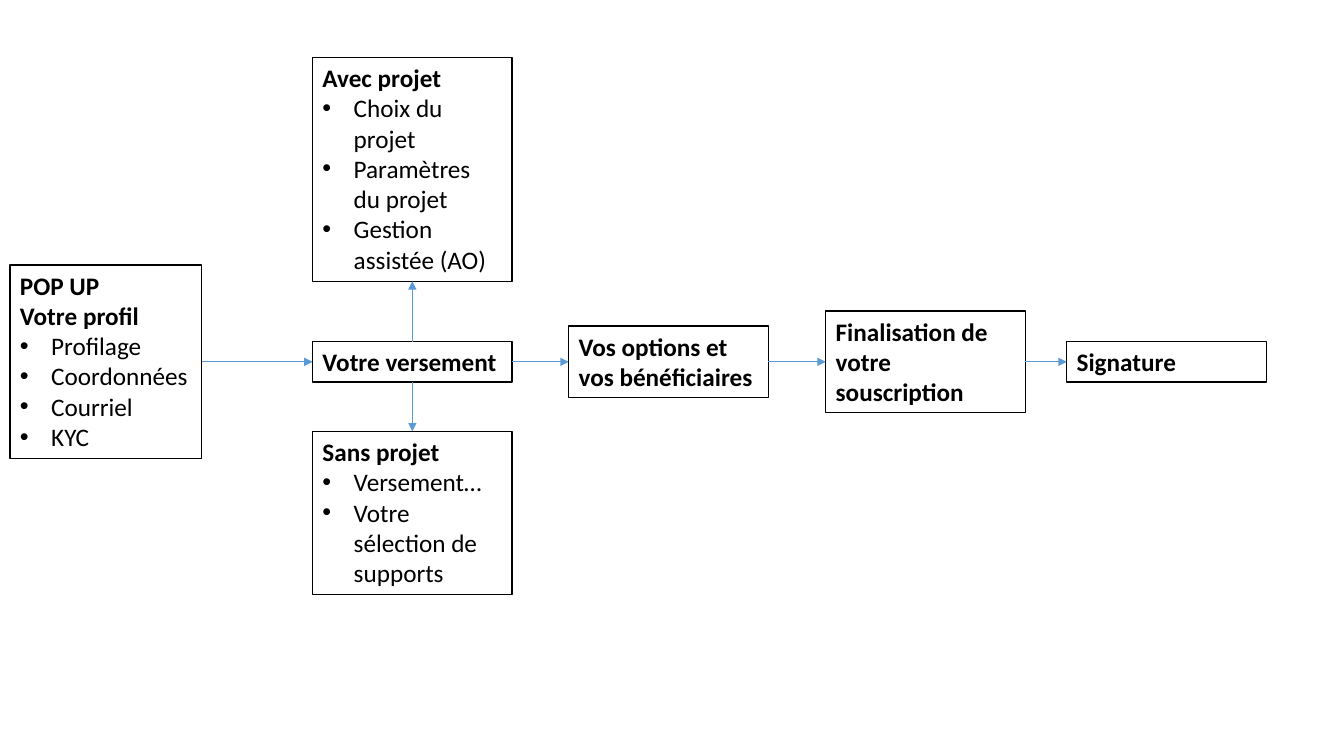
from lxml import etree
from pptx import Presentation
from pptx.dml.color import RGBColor
from pptx.enum.shapes import MSO_CONNECTOR, MSO_SHAPE
from pptx.enum.text import MSO_ANCHOR, MSO_AUTO_SIZE, PP_ALIGN
from pptx.oxml.ns import qn
from pptx.util import Inches, Pt

RECT, STRAIGHT = MSO_SHAPE.RECTANGLE, MSO_CONNECTOR.STRAIGHT
ALIGN_LEFT, ANCHOR_TOP = PP_ALIGN.LEFT, MSO_ANCHOR.TOP
GROW = MSO_AUTO_SIZE.SHAPE_TO_FIT_TEXT
TOP, LEFT, BOTTOM, RIGHT = range(4)  # connection sites of a rectangle
BLACK = RGBColor(0x00, 0x00, 0x00)
WHITE = RGBColor(0xFF, 0xFF, 0xFF)
BLUE = RGBColor(0x5B, 0x9B, 0xD5)
FONT = "Calibri"
BOX_W = 1.98
MID_Y = 3.59  # axis of the main flow
BRANCH_X = 4.09  # axis of the two branches
INDENT = Inches(0.31)

prs = Presentation()
prs.slide_width, prs.slide_height = Inches(13.33), Inches(7.5)
s = prs.slides.add_slide(prs.slide_layouts[6])

# Boxes: key, left, top (None = centred on the main flow), width, height, headings, bullets
steps = [
    ("profil", 0.1, None, 1.9, 1.92, ["POP UP", "Votre profil"],
     ["Profilage", "Coordonnées", "Courriel", "KYC"]),
    ("versement", 3.1, None, BOX_W, 0.4, ["Votre versement"], []),
    ("avec projet", 3.1, 0.57, BOX_W, 2.22, ["Avec projet"],
     ["Choix du projet", "Paramètres du projet", "Gestion assistée (AO)"]),
    ("sans projet", 3.1, 4.28, BOX_W, 1.62, ["Sans projet"],
     ["Versement…", "Votre sélection de supports"]),
    ("options", 5.64, None, BOX_W, 0.71, ["Vos options et vos bénéficiaires"], []),
    ("finalisation", 8.19, None, BOX_W, 1.01, ["Finalisation de votre souscription"], []),
    ("signature", 10.58, None, BOX_W, 0.4, ["Signature"], []),
]
boxes = {}
for key, left, top, width, height, headings, bullets in steps:
    if top is None:
        top = MID_Y - height / 2
    sp = s.shapes.add_shape(RECT, Inches(left), Inches(top), Inches(width), Inches(height))
    sp.shadow.inherit = False
    sp.fill.solid()
    sp.fill.fore_color.rgb = WHITE
    sp.line.color.rgb = BLACK
    sp.line.width = Pt(1)
    boxes[key] = sp

    tf = sp.text_frame
    tf.word_wrap = True
    tf.auto_size = GROW
    tf.vertical_anchor = ANCHOR_TOP
    tf.text = "\n".join(headings + bullets)
    for i, p in enumerate(tf.paragraphs):
        is_heading = i < len(headings)
        p.alignment = ALIGN_LEFT
        font = p.runs[0].font
        font.name, font.size, font.bold = FONT, Pt(18), is_heading
        font.color.rgb = BLACK
        if not is_heading:
            pPr = p._p.get_or_add_pPr()
            pPr.set("marL", str(INDENT))
            pPr.set("indent", str(-INDENT))
            etree.SubElement(pPr, qn("a:buFont")).set("typeface", "Arial")
            etree.SubElement(pPr, qn("a:buChar")).set("char", "•")

# Arrows glued to the boxes
arrows = [
    ("profil", RIGHT, "versement", LEFT),
    ("versement", RIGHT, "options", LEFT),
    ("options", RIGHT, "finalisation", LEFT),
    ("finalisation", RIGHT, "signature", LEFT),
    ("versement", TOP, "avec projet", BOTTOM),
    ("versement", BOTTOM, "sans projet", TOP),
]
for start, start_site, end, end_site in arrows:
    a, b = boxes[start], boxes[end]
    if start_site == RIGHT:
        ends = a.left + a.width, Inches(MID_Y), b.left, Inches(MID_Y)
    elif start_site == TOP:
        ends = Inches(BRANCH_X), a.top, Inches(BRANCH_X), b.top + b.height
    else:
        ends = Inches(BRANCH_X), a.top + a.height, Inches(BRANCH_X), b.top
    arrow = s.shapes.add_connector(STRAIGHT, *ends)
    arrow.begin_connect(a, start_site)
    arrow.end_connect(b, end_site)
    arrow.line.color.rgb = BLUE
    arrow.line.width = Pt(0.5)
    ln = arrow.line._get_or_add_ln()
    etree.SubElement(ln, qn("a:tailEnd")).set("type", "triangle")
    etree.SubElement(arrow._element.spPr, qn("a:effectLst"))

prs.save("out.pptx")
